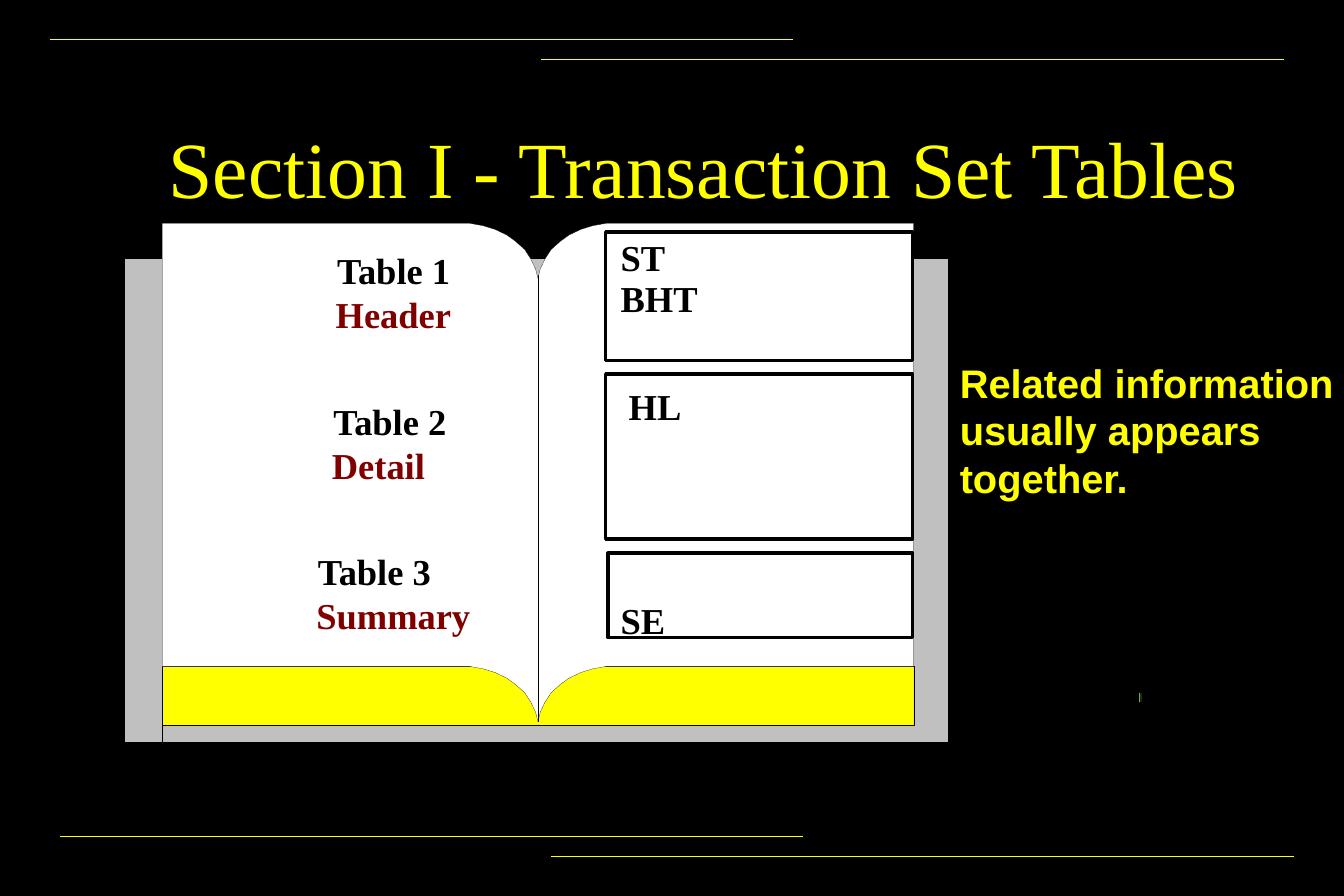
from lxml import etree
from pptx import Presentation
from pptx.dml.color import RGBColor
from pptx.enum.shapes import MSO_CONNECTOR as CONN, MSO_SHAPE as SHAPE
from pptx.enum.text import MSO_ANCHOR as ANCHOR, MSO_AUTO_SIZE as AUTO, PP_ALIGN as ALIGN
from pptx.oxml.ns import qn
from pptx.util import Cm, Pt

COLORS = {"black": "000000", "yellow": "FFFF00", "grey": "C0C0C0",
          "white": "FFFFFF", "maroon": "800000", "blue": "00B4FF"}
RGB = {name: RGBColor.from_string(value) for name, value in COLORS.items()}
SERIF, SANS = "Times New Roman", "Arial"
HAIRLINE = 0.1

prs = Presentation()
prs.slide_width, prs.slide_height = Cm(28.58), Cm(19.05)
s = prs.slides.add_slide(prs.slide_layouts[6])
s.background.fill.solid()
s.background.fill.fore_color.rgb = RGB["black"]


def style(sp, fill=None, line=None, width=HAIRLINE):
    sp.shadow.inherit = False
    if fill:
        sp.fill.solid()
        sp.fill.fore_color.rgb = RGB[fill]
    else:
        sp.fill.background()
    if line:
        sp.line.color.rgb = RGB[line]
        sp.line.width = Pt(width)
    else:
        sp.line.fill.background()


def add_text(x, y, w, h, lines, size, color, font=SERIF, bold=True, align=ALIGN.LEFT):
    tf = s.shapes.add_textbox(Cm(x), Cm(y), Cm(w), Cm(h)).text_frame
    tf.margin_left = tf.margin_top = tf.margin_right = tf.margin_bottom = 0
    tf.word_wrap = True
    tf.auto_size = AUTO.NONE
    tf.vertical_anchor = ANCHOR.TOP
    for i, line in enumerate(lines):
        p = tf.add_paragraph() if i else tf.paragraphs[0]
        p.alignment = align
        r = p.add_run()
        r.text = line
        r.font.size, r.font.name, r.font.bold = Pt(size), font, bold
        r.font.color.rgb = RGB[color]


# Book cover
cover = s.shapes.add_shape(SHAPE.RECTANGLE, Cm(2.64), Cm(5.49), Cm(17.53), Cm(10.29))
style(cover, "grey", "black")

# Page edges and open pages; both halves share one curve around the spine
left, right, top, bottom, spine = 3.45, 19.43, 4.75, 14.17, 11.44
curve = [(1.52, 0), (1.45, 0), (1.17, 0.05), (0.91, 0.13), (0.66, 0.25),
         (0.48, 0.38), (0.28, 0.56), (0.15, 0.76), (0.05, 0.97), (0, 1.17)]
falling = [(-dx, dy) for dx, dy in curve]
fold = falling + curve[::-1]
edges = [(left, 15.42), (left, 15.85), (left, bottom), (right, bottom), (right, 15.42)]
pages = ([(left, bottom)] + [(spine + dx, bottom + dy) for dx, dy in fold]
         + [(right, bottom), (right, top)]
         + [(spine + dx, top + dy) for dx, dy in fold[::-1]] + [(left, top)])
for points, fill in ((edges, "yellow"), (pages, "white")):
    outline = [(Cm(x), Cm(y)) for x, y in points]
    fb = s.shapes.build_freeform(*outline[0])
    fb.add_line_segments(outline[1:], close=True)
    style(fb.convert_to_shape(), fill, "black")

# Spine and decorative rules
rule = 15.8
rules = [(x, y, x + rule, y, "yellow", 0.75) for x, y in
         ((1.07, 0.84), (11.51, 1.27), (1.27, 17.78), (11.71, 18.21))]
for x1, y1, x2, y2, color, width in [(spine, 15.34, spine, 5.84, "black", HAIRLINE)] + rules:
    c = s.shapes.add_connector(CONN.STRAIGHT, Cm(x1), Cm(y1), Cm(x2), Cm(y2))
    c.line.color.rgb = RGB[color]
    c.line.width = Pt(width)
    etree.SubElement(c._element.spPr, qn("a:effectLst"))

# Segment boxes on the right page
for x, y, w, h in ((12.88, 4.93, 6.53, 2.74), (12.88, 7.95, 6.53, 3.51),
                   (12.93, 11.76, 6.48, 1.8)):
    box = s.shapes.add_shape(SHAPE.RECTANGLE, Cm(x), Cm(y), Cm(w), Cm(h))
    style(box, line="black", width=2)

# Title
add_text(3.04, 2.52, 23.85, 2.03, ["Section I - Transaction Set Tables"], 48, "yellow",
         bold=False, align=ALIGN.CENTER)

# Table names on the left page
for i, (x, y, name) in enumerate(((7.14, 5.28, "Header"), (7.06, 8.48, "Detail"),
                                  (6.73, 11.67, "Summary")), 1):
    add_text(x + 0.03, y, 3.5, 0.94, [f"Table {i}"], 22, "black")
    add_text(x, y + 0.93, 3.5, 0.94, [name], 22, "maroon")

# Segment names
for x, y, name in ((13.2, 5, "ST"), (13.2, 5.87, "BHT"), (13.37, 8.17, "HL"),
                   (13.2, 12.72, "SE")):
    add_text(x, y, 2, 0.94, [name], 22, "black")

# Side note
add_text(20.41, 7.62, 8.1, 3.05, ["Related information", "usually appears", "together."],
         24, "yellow", font=SANS)

# Small tick marks
for y, h, fill in ((14.73, 0.2, "yellow"), (14.78, 0.08, "blue")):
    for x in (24.23, 24.26):
        tick = s.shapes.add_shape(SHAPE.RECTANGLE, Cm(x), Cm(y), Cm(0.01), Cm(h))
        style(tick, fill)

prs.save("out.pptx")
